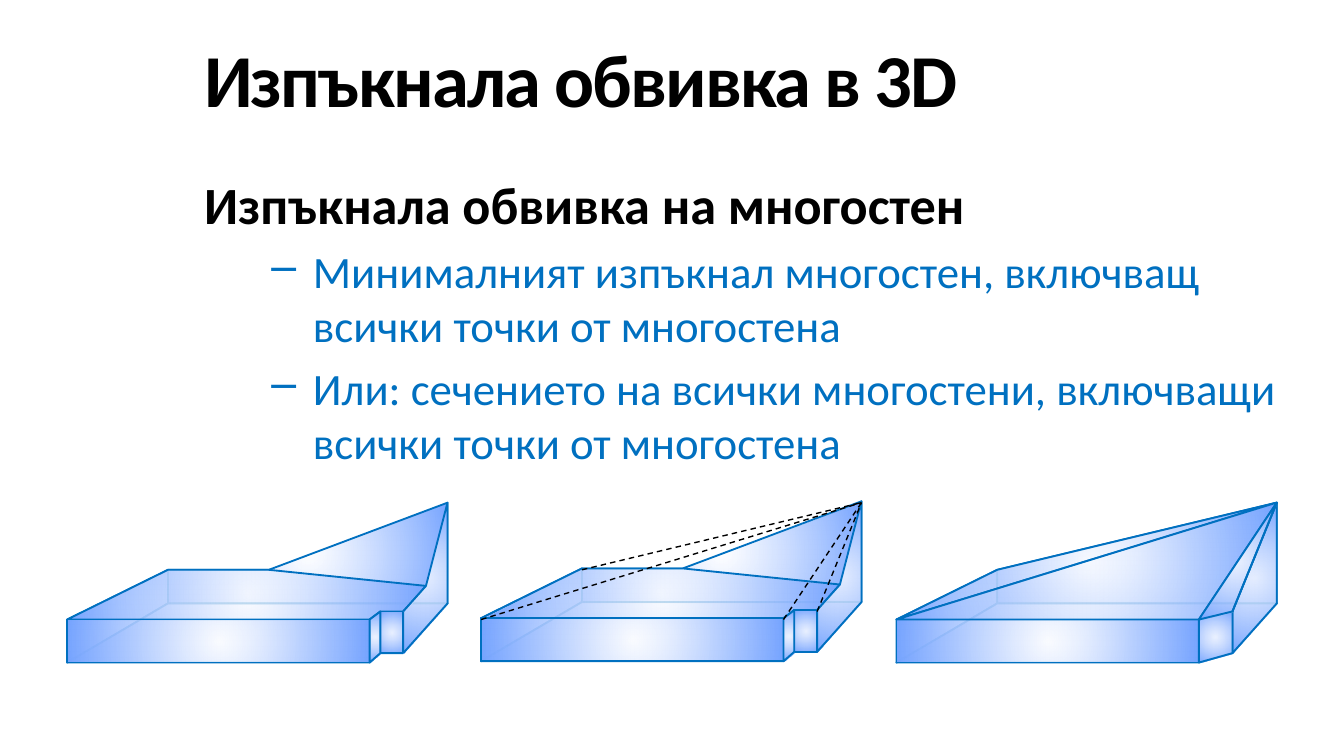
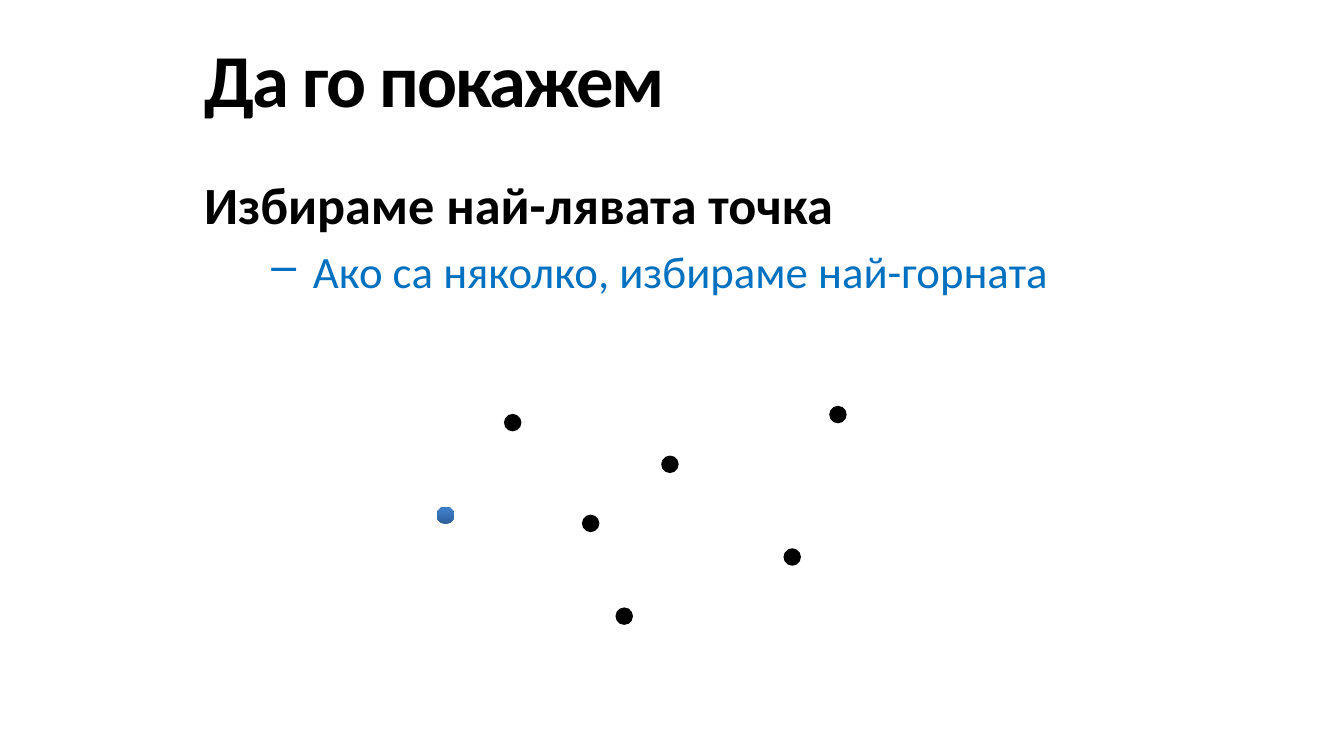
from dataclasses import dataclass

from lxml import etree
from pptx import Presentation
from pptx.dml.color import RGBColor
from pptx.enum.dml import MSO_LINE
from pptx.enum.shapes import MSO_CONNECTOR, MSO_SHAPE
from pptx.enum.text import MSO_ANCHOR
from pptx.oxml.ns import qn
from pptx.util import Inches, Pt

DASH = MSO_LINE.DASH
STRAIGHT = MSO_CONNECTOR.STRAIGHT
OVAL = MSO_SHAPE.OVAL
TOP, MIDDLE = MSO_ANCHOR.TOP, MSO_ANCHOR.MIDDLE


@dataclass(frozen=True)
class Theme:
    font: str = "Calibri"
    black: str = "000000"
    blue: str = "0070C0"
    title_size: int = 40
    heading_size: int = 28
    item_size: int = 24
    edge_width: float = 1
    dash_width: float = 0.75
    # Gradient stops: position %, colour, opacity %
    face_stops: tuple = ((0, "FFFFFF", 75), (100, "76A4FF", 100))
    dot_stops: tuple = ((0, "2F5F99", 100), (80, "3D7CC7", 100), (100, "3A7CCB", 100))


THEME = Theme()
TITLE_FORMAT = {"size": Pt(THEME.title_size), "bold": True, "color": THEME.black}
HEADING_FORMAT = {"size": Pt(THEME.heading_size), "bold": True, "color": THEME.black}
ITEM_FORMAT = {"size": Pt(THEME.item_size), "bold": False, "color": THEME.blue}

SLIDE_WIDTH = 10
SLIDE_HEIGHT = SLIDE_WIDTH * 9 / 16
TEXT_LEFT, TEXT_WIDTH = 1.42, 8.58
FIGURE_TOP = 3.74
FIGURE_LEFTS = (0.5, 3.58, 6.67)
DOT_SIZE = 0.13

# Corners of the polyhedron, in inches from the figure's top left
CORNERS = {
    "back": (0.75, 0.5), "back_base": (0.75, 0.75),
    "left": (0, 0.87), "left_base": (0, 1.19),
    "front": (2.25, 0.87), "front_base": (2.25, 1.19),
    "notch": (2.33, 0.81), "notch_base": (2.33, 1.12),
    "side": (2.5, 0.81), "side_base": (2.5, 1.12),
    "peak": (2.83, 0), "peak_base": (2.83, 0.75),
    "ridge": (1.5, 0.5), "saddle": (2.67, 0.62),
}
LEFT_FACE = "back back_base left_base left"
FRONT_FACE = "front front_base left_base left"
POLYHEDRON_FACES = (
    LEFT_FACE,
    "back_base peak_base peak ridge back",
    "peak_base side_base notch_base front_base left_base back_base",
    "ridge saddle side notch front left back",
    FRONT_FACE,
    "peak peak_base side_base side saddle",
    "side side_base notch_base notch",
    "notch_base front_base front notch",
)
HULL_FACES = (
    LEFT_FACE,
    "back_base peak_base peak back",
    "peak_base side_base front_base left_base back_base",
    "back peak left",
    FRONT_FACE,
    "peak peak_base side_base side",
    "side_base front_base front side",
    "left peak front",
    "front peak side",
)
HULL_EDGE_STARTS = ("back", "side", "front", "left")

DOTS = ((4.92, 3.39), (3.75, 3.08), (4.58, 4.52), (5.83, 4.08), (6.17, 3.02), (4.33, 3.83))
LEFTMOST_DOT = (3.25, 3.77)


def format_paragraph(paragraph, text, font_format):
    paragraph.text = text
    paragraph.font.name = THEME.font
    for name, value in font_format.items():
        if name == "color":
            paragraph.font.color.rgb = RGBColor.from_string(value)
        else:
            setattr(paragraph.font, name, value)


def add_text_box(slide, top, height, anchor):
    text_box = slide.shapes.add_textbox(
        Inches(TEXT_LEFT), Inches(top), Inches(TEXT_WIDTH), Inches(height))
    text_frame = text_box.text_frame
    text_frame.word_wrap = True
    text_frame.vertical_anchor = anchor
    return text_frame


def add_title(slide, text):
    paragraph = add_text_box(slide, 0.15, 0.85, MIDDLE).paragraphs[0]
    format_paragraph(paragraph, text, TITLE_FORMAT)
    paragraph.runs[0].font._element.set("spc", "-100")


def add_body(slide, heading, items):
    text_frame = add_text_box(slide, 1.23, 4.08, TOP)
    format_paragraph(text_frame.paragraphs[0], heading, HEADING_FORMAT)
    for item in items:
        paragraph = text_frame.add_paragraph()
        paragraph.level = 1
        paragraph.space_before = Pt(5)
        properties = paragraph._p.get_or_add_pPr()
        properties.set("marL", str(Inches(0.81)))
        properties.set("indent", str(-Inches(0.31)))
        etree.SubElement(properties, qn("a:buChar")).set("char", "–")
        format_paragraph(paragraph, item, ITEM_FORMAT)


def add_content_slide(presentation, title, heading, items):
    slide = presentation.slides.add_slide(presentation.slide_layouts[6])
    add_body(slide, heading, items)
    add_title(slide, title)
    return slide


def set_gradient(shape, stops, angle=None):
    """Fill linearly at the angle in degrees, or from the centre without one."""
    gradient = etree.Element(qn("a:gradFill"), rotWithShape="1")
    stop_list = etree.SubElement(gradient, qn("a:gsLst"))
    for position, color, opacity in stops:
        stop = etree.SubElement(stop_list, qn("a:gs"), pos=str(position * 1000))
        stop_color = etree.SubElement(stop, qn("a:srgbClr"), val=color)
        if opacity < 100:
            etree.SubElement(stop_color, qn("a:alpha"), val=str(opacity * 1000))
    if angle is None:
        circle = etree.SubElement(gradient, qn("a:path"), {"path": "circle"})
        centre = dict.fromkeys("ltrb", "50000")
        etree.SubElement(circle, qn("a:fillToRect"), centre)
    else:
        etree.SubElement(gradient, qn("a:lin"), ang=str(angle * 60000), scaled="0")
    shape.fill.background()
    properties = shape._element.spPr
    properties.replace(properties.find(qn("a:noFill")), gradient)


def set_line(shape, color, width):
    shape.line.color.rgb = RGBColor.from_string(color)
    shape.line.width = Pt(width)


def corner_position(name, left, top):
    x, y = CORNERS[name]
    return Inches(left + x), Inches(top + y)


def add_face(shapes, names, left, top):
    points = [corner_position(name, left, top) for name in names.split()]
    builder = shapes.build_freeform(*points[0])
    builder.add_line_segments(points[1:], close=True)
    face = builder.convert_to_shape()
    face.shadow.inherit = False
    set_gradient(face, THEME.face_stops)
    set_line(face, THEME.blue, THEME.edge_width)


def add_solid(slide, faces, left, top=FIGURE_TOP):
    group = slide.shapes.add_group_shape()
    for names in faces:
        add_face(group.shapes, names, left, top)
    return group


def add_edge_to_peak(shapes, start, left, color, width):
    edge = shapes.add_connector(
        STRAIGHT, *corner_position(start, left, FIGURE_TOP),
        *corner_position("peak", left, FIGURE_TOP))
    set_line(edge, color, width)
    etree.SubElement(edge._element.spPr, qn("a:effectLst"))
    return edge


def add_dot(slide, left, top):
    dot = slide.shapes.add_shape(
        OVAL, Inches(left), Inches(top), Inches(DOT_SIZE), Inches(DOT_SIZE))
    dot.shadow.inherit = False
    dot.line.fill.background()
    dot.fill.solid()
    dot.fill.fore_color.rgb = RGBColor.from_string(THEME.black)
    return dot


def build_hull_slide(presentation):
    slide = add_content_slide(
        presentation, "Изпъкнала обвивка в 3D", "Изпъкнала обвивка на многостен",
        ("Минималният изпъкнал многостен, включващ всички точки от многостена",
         "Или: сечението на всички многостени, включващи всички точки от многостена"))
    solid_left, dashed_left, hull_left = FIGURE_LEFTS
    add_solid(slide, POLYHEDRON_FACES, solid_left)
    hull = add_solid(slide, HULL_FACES, hull_left)
    add_edge_to_peak(hull.shapes, "side", hull_left, THEME.blue, THEME.edge_width)
    add_solid(slide, POLYHEDRON_FACES, dashed_left, FIGURE_TOP - 0.01)
    for start in HULL_EDGE_STARTS:
        edge = add_edge_to_peak(
            slide.shapes, start, dashed_left, THEME.black, THEME.dash_width)
        edge.line.dash_style = DASH


def build_points_slide(presentation):
    slide = add_content_slide(
        presentation, "Да го покажем", "Избираме най-лявата точка",
        ("Ако са няколко, избираме най-горната",))
    for left, top in DOTS:
        add_dot(slide, left, top)
    set_gradient(add_dot(slide, *LEFTMOST_DOT), THEME.dot_stops, angle=270)


def main():
    presentation = Presentation()
    presentation.slide_width = Inches(SLIDE_WIDTH)
    presentation.slide_height = Inches(SLIDE_HEIGHT)
    build_hull_slide(presentation)
    build_points_slide(presentation)
    presentation.save("out.pptx")


if __name__ == "__main__":
    main()
